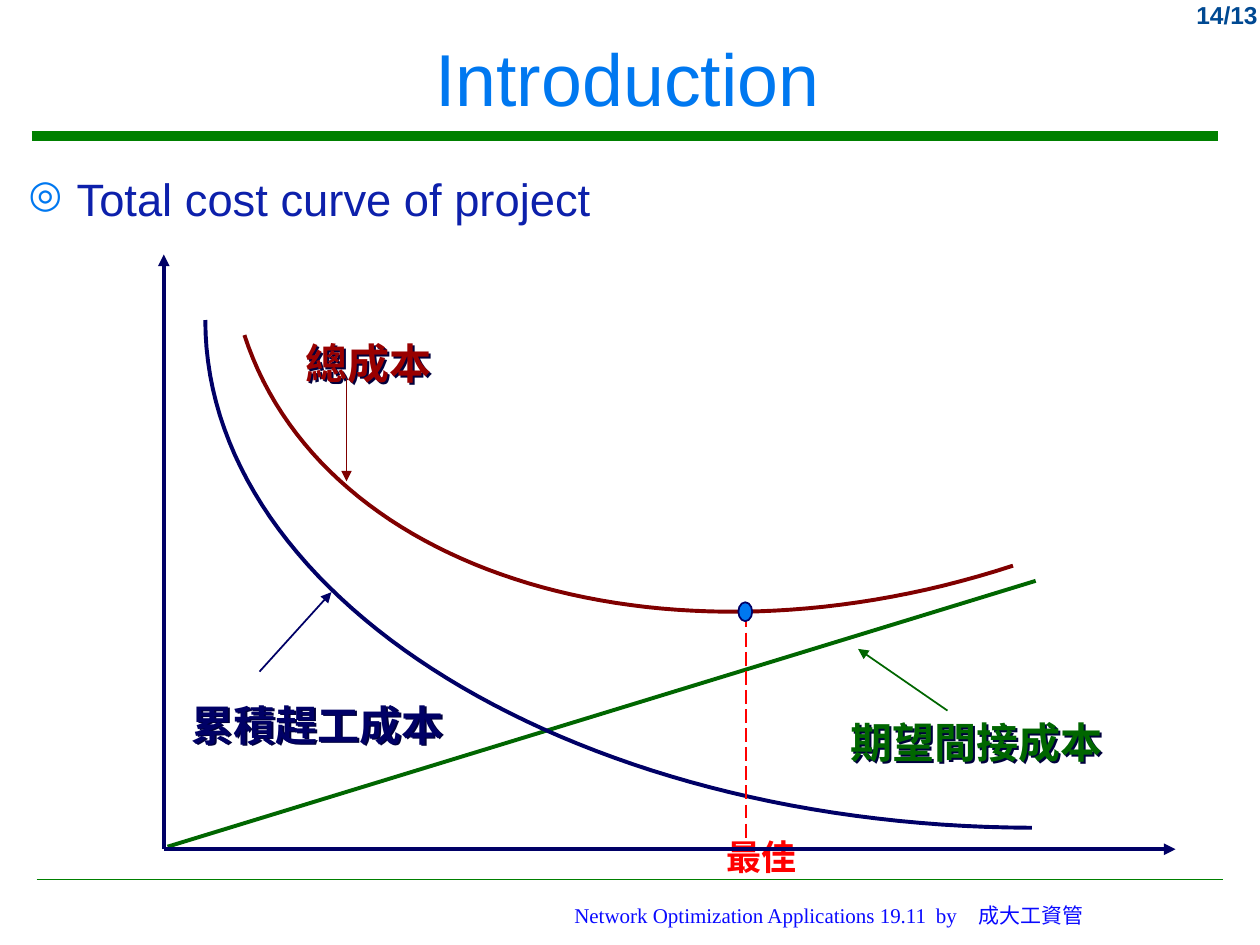
import lxml.etree
import pptx
import pptx.dml.color
import pptx.enum.dml
import pptx.enum.shapes
import pptx.enum.text
import pptx.oxml.ns
import pptx.util

COLORS = {
    "rule": "008000", "page": "004992", "title": "0078F0", "body": "0D20AB",
    "footer": "0A0AFF", "indirect": "006600", "crash": "000066",
    "total": "800000", "total_label": "990000", "best": "FF0000",
    "shadow": "00003D",
}
ALIGN = pptx.enum.text.PP_ALIGN
ANCHOR = pptx.enum.text.MSO_ANCHOR
qn = pptx.oxml.ns.qn
rgb = {k: pptx.dml.color.RGBColor.from_string(v) for k, v in COLORS.items()}

prs = pptx.Presentation()
prs.slide_width = pptx.util.Inches(10)
prs.slide_height = pptx.util.Inches(7.5)
s = prs.slides.add_slide(prs.slide_layouts[6])
CELL = prs.slide_width / 100  # square grid: 100 columns by 75 rows


def add_text(box, text, size, color, font="Arial", bold=False,
             align=ALIGN.LEFT, anchor=ANCHOR.TOP):
    sp = s.shapes.add_textbox(*(round(v * CELL) for v in box))
    tf = sp.text_frame
    tf.word_wrap, tf.vertical_anchor = True, anchor
    p = tf.paragraphs[0]
    p.alignment = align
    r = p.add_run()
    r.text = text
    for name, value in {"name": font, "size": pptx.util.Pt(size), "bold": bold}.items():
        setattr(r.font, name, value)
    r.font.color.rgb = rgb[color]
    return sp


def add_line(start, end, color, width, arrow=False, dash=None):
    ends = [round(v * CELL) for v in (*start, *end)]
    sp = s.shapes.add_connector(pptx.enum.shapes.MSO_CONNECTOR.STRAIGHT, *ends)
    sp.line.color.rgb = rgb[color]
    sp.line.width = pptx.util.Pt(width)
    if dash:
        sp.line.dash_style = dash
    if arrow:
        lxml.etree.SubElement(sp.line._get_or_add_ln(), qn("a:tailEnd"), type="triangle")
    lxml.etree.SubElement(sp._element.spPr, qn("a:effectLst"))


# Frame of the slide
add_line((2.5, 10.8), (96.7, 10.8), "rule", 5.25)
add_line((2.9, 69.8), (97.1, 69.8), "rule", 1)
add_text((91.7, -0.5, 9.1, 5.7), "14/13", 14, "page", bold=True, align=ALIGN.RIGHT)
add_text((0.8, 0.8, 98, 10.6), "Introduction", 42, "title",
         align=ALIGN.CENTER, anchor=ANCHOR.MIDDLE)

footer = add_text((44.6, 70.6, 53.6, 4), "Network Optimization Applications 19.11\tby\t成大工資管",
                  12, "footer", font="Times New Roman", anchor=ANCHOR.MIDDLE)
pPr = footer.text_frame.paragraphs[0]._p.get_or_add_pPr()
tabs = lxml.etree.SubElement(pPr, qn("a:tabLst"))
for column in (28.7, 32.1):
    lxml.etree.SubElement(tabs, qn("a:tab"), pos=str(round(column * CELL)), algn="l")

heading = add_text((1.3, 13.1, 96, 5.5), "Total cost curve of project", 25.9, "body")
pPr = heading.text_frame.paragraphs[0]._p.get_or_add_pPr()
indent = round(3.8 * CELL)
pPr.set("marL", str(indent))
pPr.set("indent", str(-indent))
bullet_color = lxml.etree.SubElement(pPr, qn("a:buClr"))
lxml.etree.SubElement(bullet_color, qn("a:srgbClr"), val=COLORS["title"])
lxml.etree.SubElement(pPr, qn("a:buSzPct"), val="85000")
lxml.etree.SubElement(pPr, qn("a:buChar"), char="◎")

# Cost curves: the indirect cost is straight, the others are Bezier arcs
add_line((13.3, 67.2), (82.2, 46.1), "indirect", 2.25)
STEPS = 60
for color, controls in (
    ("crash", ((81.9, 65.7), (45.6, 65.6), (16.3, 47.6), (16.3, 25.4))),
    ("total", ((80.4, 44.9), (52.9, 53.9), (25.6, 45.7), (19.4, 26.6))),
):
    points = []
    for i in range(STEPS + 1):
        t = i / STEPS
        weights = ((1 - t) ** 3, 3 * t * (1 - t) ** 2, 3 * t * t * (1 - t), t ** 3)
        points.append([round(CELL * sum(w * c for w, c in zip(weights, axis)))
                       for axis in zip(*controls)])
    builder = s.shapes.build_freeform(*points[0])
    builder.add_line_segments(points[1:], close=False)
    sp = builder.convert_to_shape()
    sp.shadow.inherit = False
    sp.fill.background()
    sp.line.color.rgb = rgb[color]
    sp.line.width = pptx.util.Pt(2.25)

# Curve labels with a hard text shadow, each with its pointer
for text, box, label_color, start, end, line_color in (
    ("總成本", (23.3, 26.3, 14.2, 5), "total_label", (27.5, 30), (27.5, 38.2), "total"),
    ("累積趕工成本", (14.2, 55, 22.5, 5), "crash", (20.6, 53.3), (26.3, 47), "crash"),
    ("期望間接成本", (66.5, 56.4, 22.2, 5), "indirect", (75.2, 56.4), (68.1, 51.5), "indirect"),
):
    sp = add_text(box, text, 24, label_color, bold=True)
    effects = lxml.etree.SubElement(sp._element.spPr, qn("a:effectLst"))
    shadow = lxml.etree.SubElement(effects, qn("a:outerShdw"), dist="17961", dir="2700000")
    lxml.etree.SubElement(shadow, qn("a:srgbClr"), val=COLORS["shadow"])
    add_line(start, end, line_color, 1, arrow=True)

# Optimum
add_line((59.2, 48.7), (59.2, 66.9), "best", 1, dash=pptx.enum.dml.MSO_LINE.LONG_DASH)
dot = s.shapes.add_shape(pptx.enum.shapes.MSO_SHAPE.OVAL,
                         *(round(v * CELL) for v in (58.6, 47.8, 1.1, 1.5)))
dot.shadow.inherit = False
dot.fill.solid()
dot.fill.fore_color.rgb = rgb["title"]
dot.line.color.rgb = rgb["crash"]
dot.line.width = pptx.util.Pt(1)
add_text((56.7, 65.8, 14.1, 4.3), "最佳", 20, "best", bold=True)

# Axes
ORIGIN = (13, 67.4)
for tip in ((13, 20.2), (93.3, 67.4)):
    add_line(ORIGIN, tip, "crash", 2.25, arrow=True)

prs.save("out.pptx")
